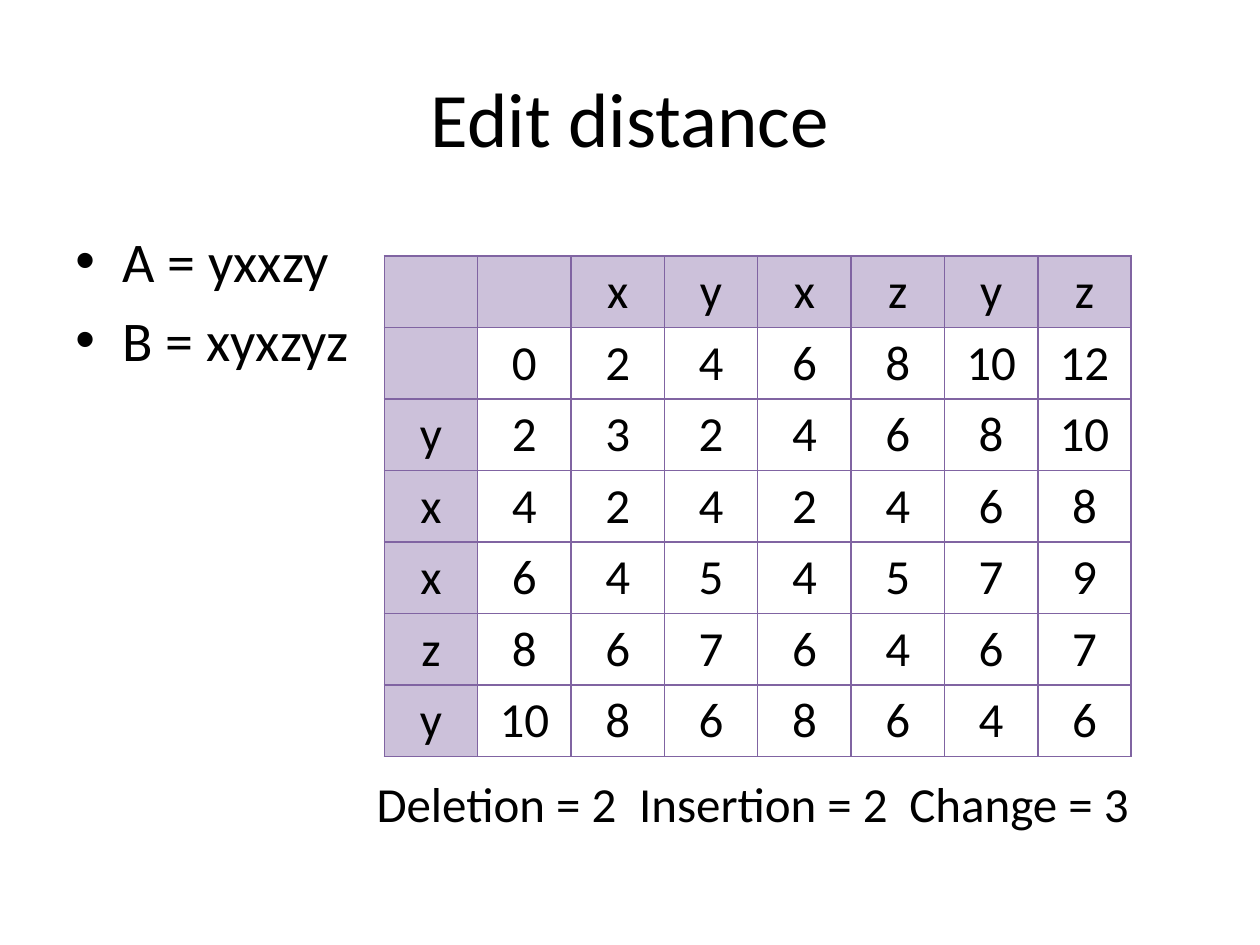
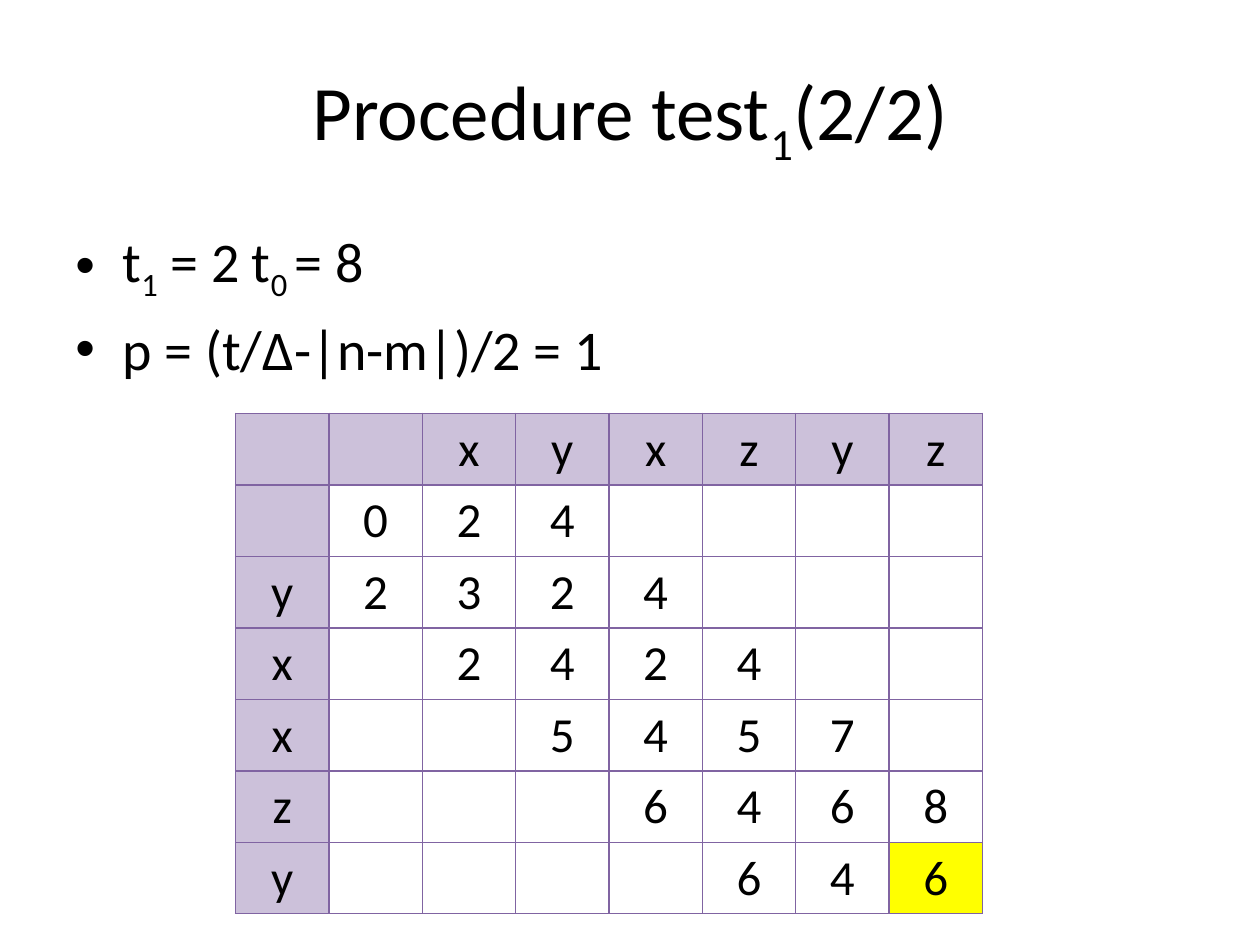
"""Builds two slides on the edit distance table and procedure test 1."""
from lxml import etree
from pptx import Presentation
from pptx.dml.color import RGBColor
from pptx.enum import text
from pptx.oxml import ns
from pptx.util import Pt

BLACK = RGBColor(0x00, 0x00, 0x00)
HEADER = RGBColor(0xCC, 0xC1, 0xDA)
BORDER = RGBColor(0x80, 0x64, 0xA2)
YELLOW = RGBColor(0xFF, 0xFF, 0x00)
FONT = "Calibri"
COL_W, ROW_H = 53.35, 40.8
INDENT = 27
NORMAL, SUB = 0, -25000

SLIDES = [
    {
        "title": [("Edit distance", NORMAL)],
        "bullets": [[("A = yxxzy", NORMAL)], [("B = xyxzyz", NORMAL)]],
        "table_at": (219.6, 146.2),
        "rows": [
            "||x|y|x|z|y|z",
            "|0|2|4|6|8|10|12",
            "y|2|3|2|4|6|8|10",
            "x|4|2|4|2|4|6|8",
            "x|6|4|5|4|5|7|9",
            "z|8|6|7|6|4|6|7",
            "y|10|8|6|8|6|4|6",
        ],
        "marked": None,
        "costs": "Deletion = 2\tInsertion = 2\tChange = 3",
    },
    {
        "title": [("Procedure test", NORMAL), ("1", SUB), ("(2/2)", NORMAL)],
        "bullets": [
            [("t", NORMAL), ("1", SUB), (" = 2 t", NORMAL), ("0 ", SUB), ("= 8", NORMAL)],
            [("p = (t/∆-|n-m|)/2 = 1", NORMAL)],
        ],
        "table_at": (134.6, 236.2),
        "rows": [
            "||x|y|x|z|y|z",
            "|0|2|4||||",
            "y|2|3|2|4|||",
            "x||2|4|2|4||",
            "x|||5|4|5|7|",
            "z||||6|4|6|8",
            "y|||||6|4|6",
        ],
        "marked": (6, 7),
        "costs": None,
    },
]


def add_runs(p, runs, size):
    for words, baseline in runs:
        r = p.add_run()
        r.text = words
        r.font.name = FONT
        r.font.size = Pt(size)
        r.font.color.rgb = BLACK
        if baseline:
            r._r.get_or_add_rPr().set("baseline", str(baseline))


def add_borders(cell):
    tc_pr = cell._tc.get_or_add_tcPr()
    for i, side in enumerate(("lnL", "lnR", "lnT", "lnB")):
        ln = etree.Element(ns.qn(f"a:{side}"), w=str(Pt(1)))
        fill = etree.SubElement(ln, ns.qn("a:solidFill"))
        etree.SubElement(fill, ns.qn("a:srgbClr"), val=str(BORDER))
        tc_pr.insert(i, ln)


prs = Presentation()
prs.slide_width, prs.slide_height = Pt(720), Pt(540)

for content in SLIDES:
    s = prs.slides.add_slide(prs.slide_layouts[5])

    title = s.shapes.title
    title.left, title.top, title.width, title.height = Pt(36), Pt(21.6), Pt(648), Pt(90)
    tf = title.text_frame
    tf.vertical_anchor = text.MSO_ANCHOR.MIDDLE
    p = tf.paragraphs[0]
    p.alignment = text.PP_ALIGN.CENTER
    add_runs(p, content["title"], 44)

    tf = s.shapes.add_textbox(Pt(36), Pt(126), Pt(648), Pt(356.4)).text_frame
    tf.word_wrap = True
    for i, runs in enumerate(content["bullets"]):
        p = tf.add_paragraph() if i else tf.paragraphs[0]
        p_pr = p._p.get_or_add_pPr()
        p_pr.set("marL", str(Pt(INDENT)))
        p_pr.set("indent", str(-Pt(INDENT)))
        etree.SubElement(p_pr, ns.qn("a:buFont"), typeface="Arial")
        etree.SubElement(p_pr, ns.qn("a:buChar"), char="•")
        if i:
            p.space_before = Pt(6.4)
        add_runs(p, runs, 32)

    rows = [row.split("|") for row in content["rows"]]
    n_rows, n_cols = len(rows), len(rows[0])
    left, top = content["table_at"]
    table = s.shapes.add_table(n_rows, n_cols, Pt(left), Pt(top),
                               Pt(COL_W * n_cols), Pt(ROW_H * n_rows)).table
    table.first_row = table.horz_banding = False
    for column in table.columns:
        column.width = Pt(COL_W)
    for i, row in enumerate(rows):
        table.rows[i].height = Pt(ROW_H)
        for j, value in enumerate(row):
            cell = table.cell(i, j)
            cell.vertical_anchor = text.MSO_ANCHOR.MIDDLE
            if (i, j) == content["marked"]:
                cell.fill.solid()
                cell.fill.fore_color.rgb = YELLOW
            elif i == 0 or j == 0:
                cell.fill.solid()
                cell.fill.fore_color.rgb = HEADER
            else:
                cell.fill.background()
            add_borders(cell)
            if value:
                p = cell.text_frame.paragraphs[0]
                p.alignment = text.PP_ALIGN.CENTER
                add_runs(p, [(value, NORMAL)], 28)

    if content["costs"]:
        tf = s.shapes.add_textbox(Pt(208.1), Pt(438.5), Pt(461.5), Pt(74.9)).text_frame
        tf.word_wrap = True
        p = tf.paragraphs[0]
        tabs = etree.SubElement(p._p.get_or_add_pPr(), ns.qn("a:tabLst"))
        for stop in (150, 304.5):
            etree.SubElement(tabs, ns.qn("a:tab"), pos=str(Pt(stop)), algn="l")
        add_runs(p, [(content["costs"], NORMAL)], 28)

prs.save("out.pptx")
